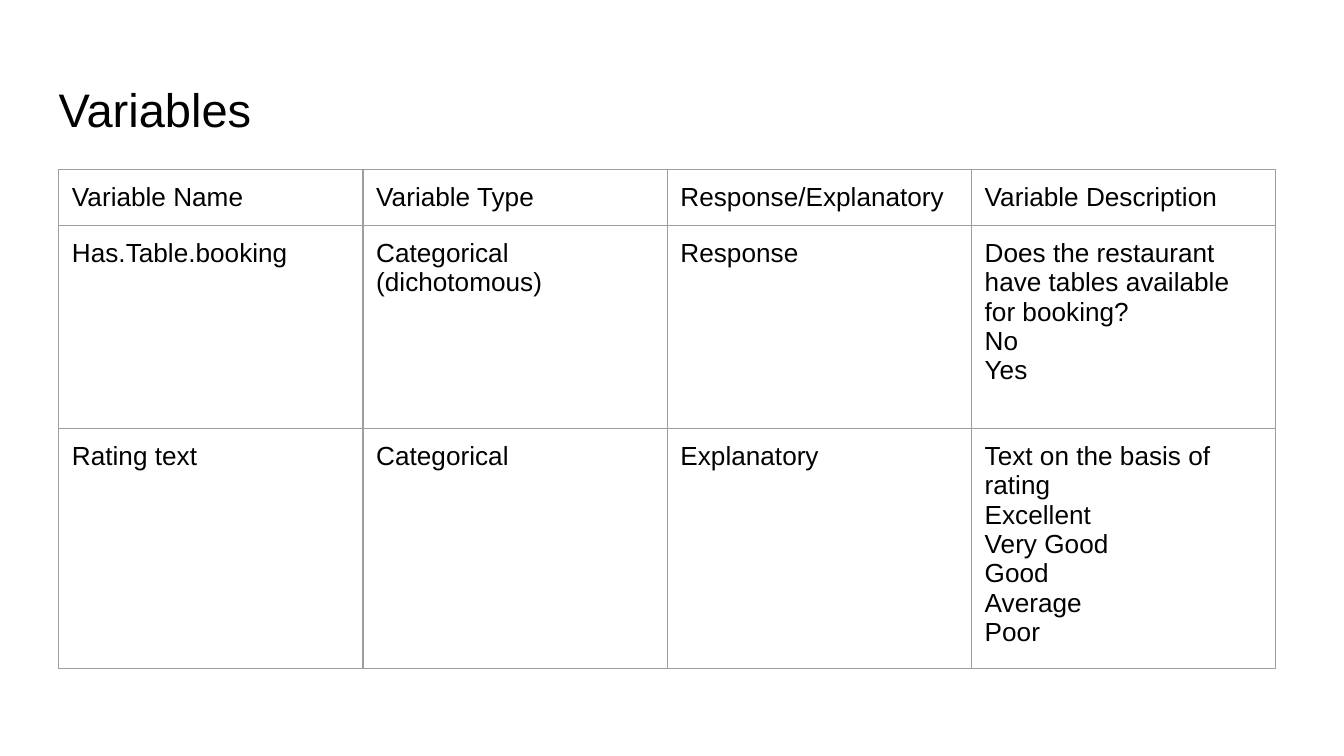
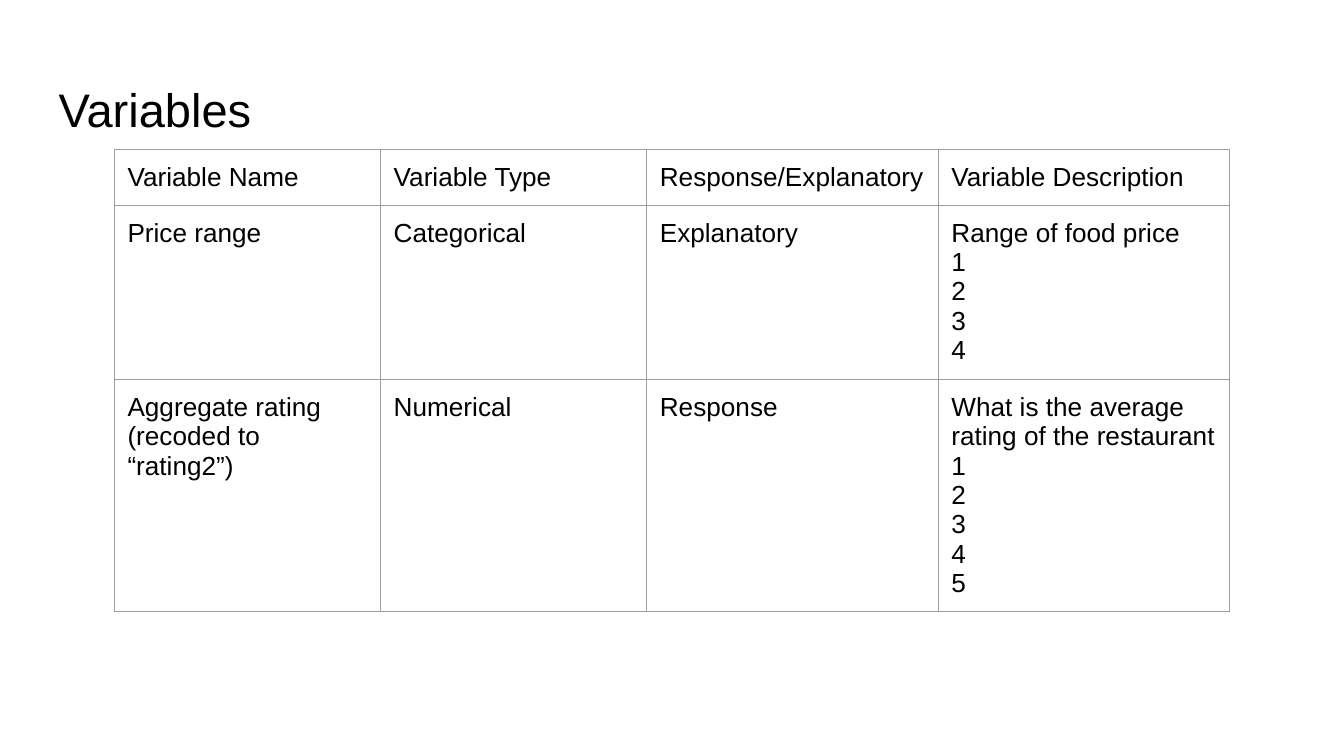
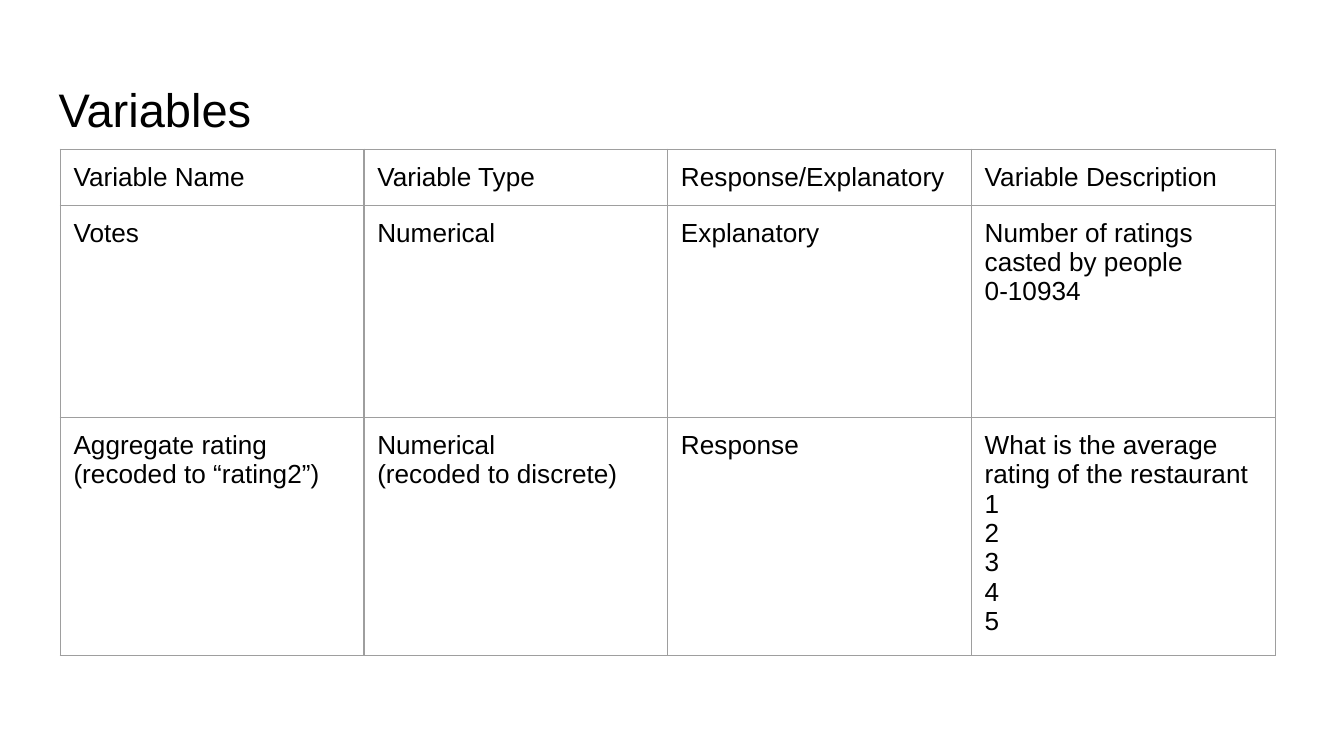
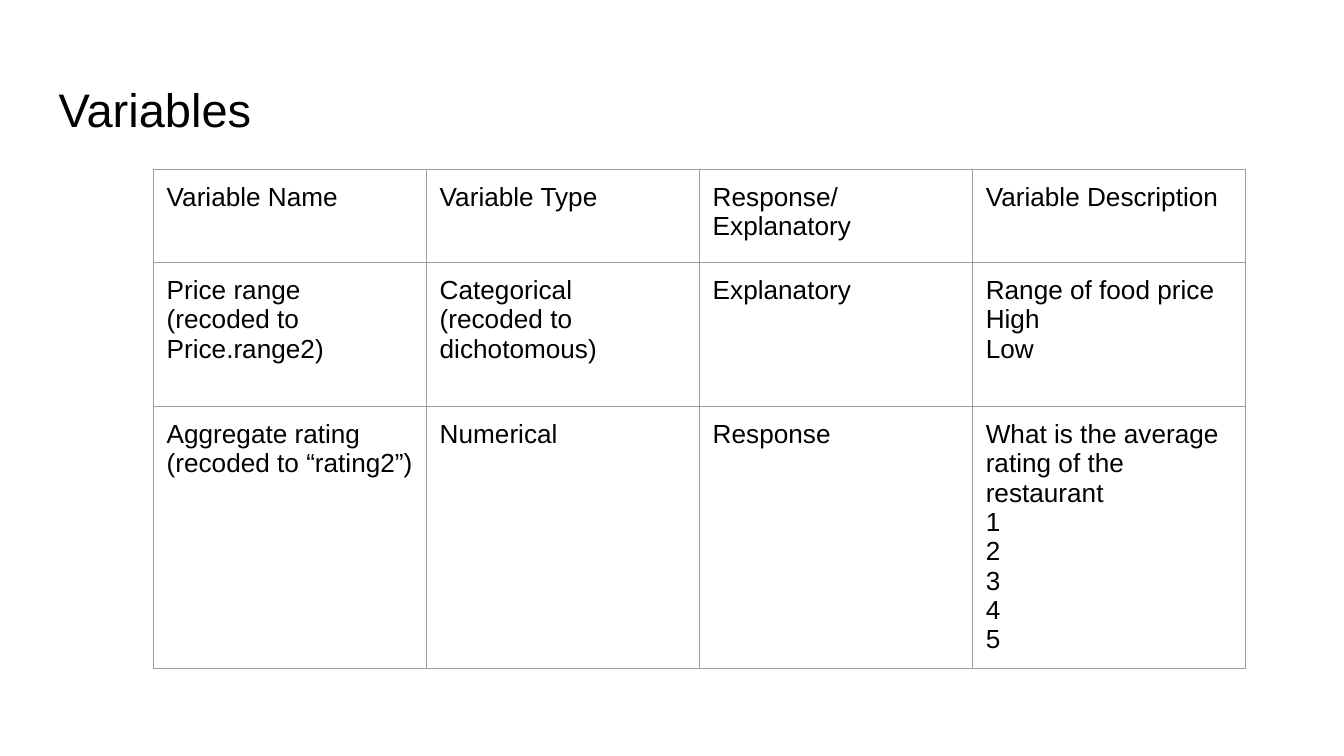
from pptx import Presentation
from pptx.dml.color import RGBColor
from pptx.enum.text import MSO_ANCHOR, MSO_AUTO_SIZE, PP_ALIGN
from pptx.oxml import parse_xml
from pptx.oxml.ns import nsdecls
from pptx.util import Cm, Pt

LEFT = PP_ALIGN.LEFT
TOP, BOTTOM = MSO_ANCHOR.TOP, MSO_ANCHOR.BOTTOM
NO_AUTOFIT = MSO_AUTO_SIZE.NONE
TITLE_ONLY = 5

THEME = {
    "font": "Arial",
    "text": RGBColor.from_string("000000"),
    "background": RGBColor.from_string("FFFFFF"),
    "border": "9E9E9E",
    "border_width": Pt(0.75),
    "title_size": Pt(25.2),
    "cell_size": Pt(14),
    "inset": Cm(0.25),
}
MARGINS = {f"margin_{side}": THEME["inset"] for side in ("left", "right", "top", "bottom")}

# Table contents; each line in a cell is a paragraph
HEADER = ["Variable Name", "Variable Type", "Response/Explanatory", "Variable Description"]
RATING = "Aggregate rating (recoded to “rating2”)"
RATING_SCALE = "What is the average rating of the restaurant\n1\n2\n3\n4\n5"

# Positions, column widths and row heights are in centimetres
SLIDES = [
    {
        "left": 1.11, "top": 3.2,
        "cols": [5.75] * 4, "rows": [1.06, 3.84, 4.54],
        "body": [
            ["Has.Table.booking", "Categorical (dichotomous)", "Response",
             "Does the restaurant have tables available for booking?\nNo\nYes"],
            ["Rating text", "Categorical", "Explanatory",
             "Text on the basis of rating\nExcellent\nVery Good\nGood\nAverage\nPoor"],
        ],
    },
    {
        "left": 2.16, "top": 2.82,
        "cols": [5.03, 5.03, 5.51, 5.51], "rows": [1.06, 3.29, 4.38],
        "body": [
            ["Price range", "Categorical", "Explanatory", "Range of food price\n1\n2\n3\n4"],
            [RATING, "Numerical", "Response", RATING_SCALE],
        ],
    },
    {
        "left": 1.14, "top": 2.82,
        "cols": [5.74] * 4, "rows": [1.06, 4.01, 4.5],
        "body": [
            ["Votes", "Numerical", "Explanatory",
             "Number of ratings casted by people\n0-10934"],
            [RATING, "Numerical\n(recoded to discrete)", "Response", RATING_SCALE],
        ],
    },
    {
        "left": 2.9, "top": 3.2,
        "cols": [5.16] * 4, "rows": [1.76, 2.72, 4.95],
        "body": [
            ["Price range\n(recoded to Price.range2)",
             "Categorical\n(recoded to dichotomous)", "Explanatory",
             "Range of food price\nHigh\nLow"],
            [RATING, "Numerical", "Response", RATING_SCALE],
        ],
    },
]


def write(tf, text, size):
    """Fill a text frame with left-aligned paragraphs in the theme font."""
    tf.text = text
    for p in tf.paragraphs:
        p.alignment = LEFT
        for r in p.runs:
            r.font.color.rgb = THEME["text"]
            for name, value in {"name": THEME["font"], "size": size, "bold": False}.items():
                setattr(r.font, name, value)


def add_borders(cell):
    """Draw the four cell edges, placed ahead of the cell fill."""
    tc_pr = cell._tc.get_or_add_tcPr()
    for i, edge in enumerate(("lnL", "lnR", "lnT", "lnB")):
        tc_pr.insert(i, parse_xml(
            f'<a:{edge} {nsdecls("a")} w="{THEME["border_width"]}">'
            f'<a:solidFill><a:srgbClr val="{THEME["border"]}"/></a:solidFill>'
            f'</a:{edge}>'))


prs = Presentation()
prs.slide_width, prs.slide_height = Cm(25.4), Cm(14.29)

# Shared background
fill = prs.slide_master.background.fill
fill.solid()
fill.fore_color.rgb = THEME["background"]

for data in SLIDES:
    s = prs.slides.add_slide(prs.slide_layouts[TITLE_ONLY])

    # Title
    title = s.shapes.title
    title.left, title.top, title.width, title.height = Cm(0.86), Cm(1.24), Cm(23.67), Cm(1.6)
    tf = title.text_frame
    frame_format = {"word_wrap": True, "auto_size": NO_AUTOFIT, "vertical_anchor": BOTTOM}
    for name, value in {**MARGINS, **frame_format}.items():
        setattr(tf, name, value)
    write(tf, "Variables", THEME["title_size"])

    # Table grid
    cols, rows = data["cols"], data["rows"]
    table = s.shapes.add_table(len(rows), len(cols), Cm(data["left"]), Cm(data["top"]),
                               Cm(sum(cols)), Cm(sum(rows))).table
    table.first_row = table.horz_banding = False
    for column, width in zip(table.columns, cols):
        column.width = Cm(width)
    for row, height in zip(table.rows, rows):
        row.height = Cm(height)

    # Table cells
    for row, texts in zip(table.rows, [HEADER, *data["body"]]):
        for cell, text in zip(row.cells, texts):
            for name, value in {**MARGINS, "vertical_anchor": TOP}.items():
                setattr(cell, name, value)
            cell.fill.background()
            add_borders(cell)
            write(cell.text_frame, text, THEME["cell_size"])

prs.save("out.pptx")
